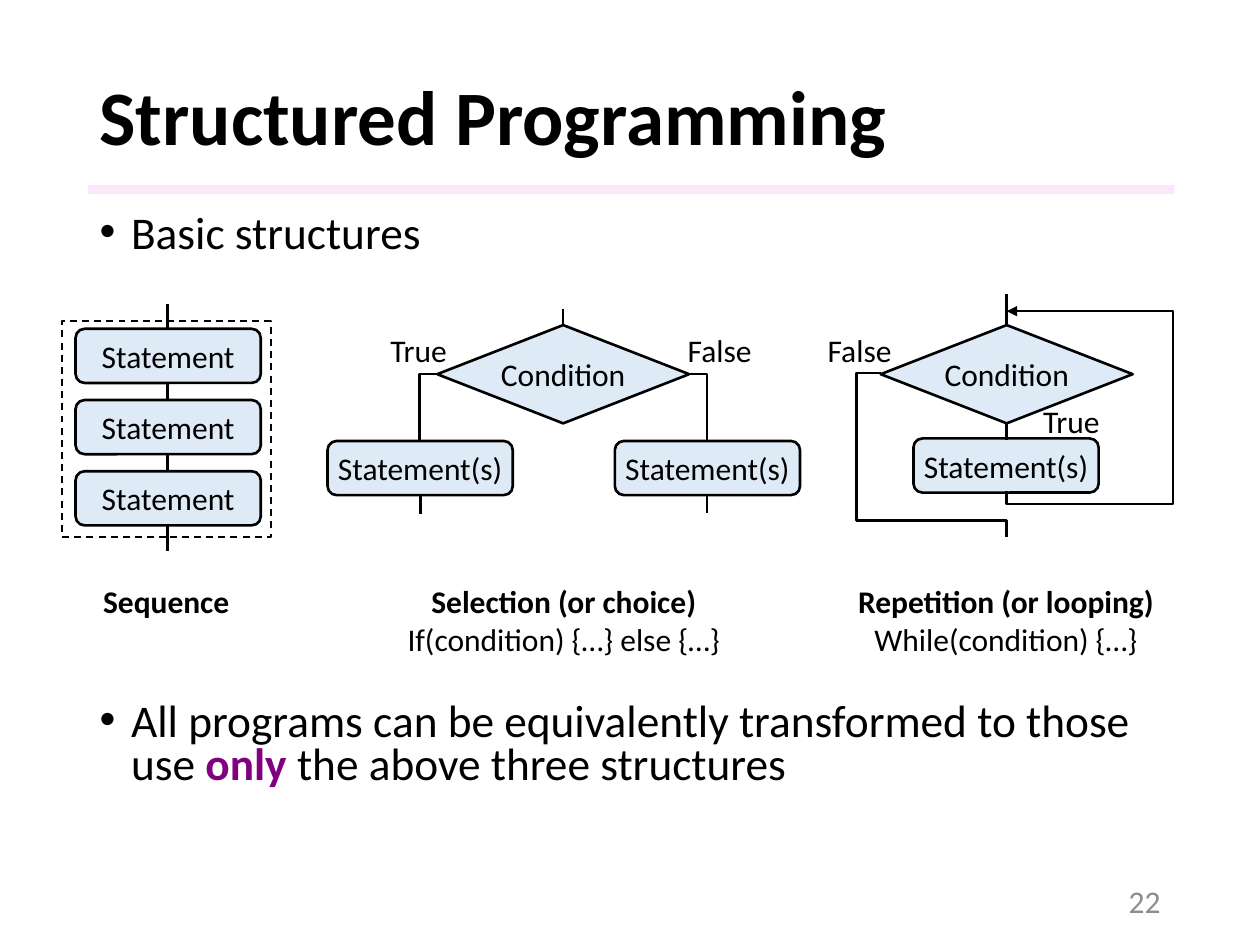
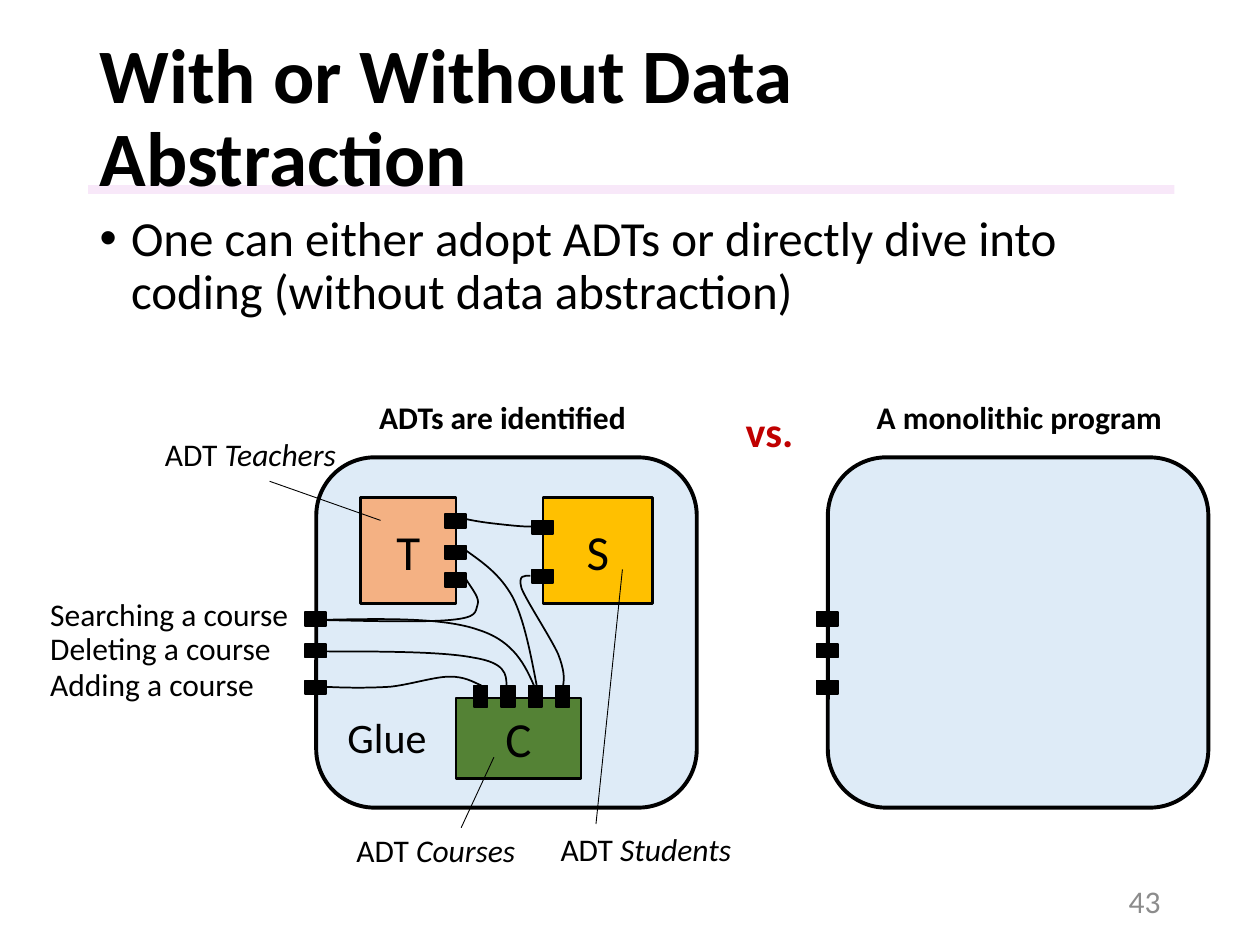
from dataclasses import dataclass
from pptx import Presentation
from pptx.dml.color import RGBColor
from pptx.enum.dml import MSO_LINE as Dash
from pptx.enum.shapes import MSO_CONNECTOR as Link, MSO_SHAPE as Kind
from pptx.enum.text import MSO_ANCHOR as Anchor, MSO_AUTO_SIZE as Fit, PP_ALIGN as Align
from pptx.oxml.ns import qn
from pptx.util import Inches, Pt
from lxml.etree import SubElement

FONT = "Calibri"
HEX = {
    "ink": "000000", "band": "F3D2F4", "page": "8C8C8C", "pale": "DEEBF7",
    "stress": "800080", "red": "C00000", "peach": "F4B183", "gold": "FFC000",
    "green": "548235", "white": "FFFFFF",
}


@dataclass
class Box:
    x: float
    y: float
    w: float
    h: float
    fill: str | None = "pale"
    text: str = ""
    kind: Kind = Kind.RECTANGLE
    line: float = 1.5
    size: float = 18
    turn: float = 0
    dash: bool = False


@dataclass
class Label:
    x: float
    y: float
    w: float
    text: str
    h: float = 0.4
    size: float = 18
    color: str = "ink"
    bold: bool = False
    align: Align = Align.LEFT
    tail: str = ""


@dataclass
class Wire:
    points: list[tuple[float, float]]
    curved: bool = False
    arrow: bool = False
    width: float = 1.5
    fill: str | None = None


def tint(name: str) -> RGBColor:
    return RGBColor.from_string(HEX[name])


def style(run, size: float, color: str = "ink", bold: bool = False) -> None:
    run.font.name, run.font.size, run.font.bold = FONT, Pt(size), bold
    run.font.color.rgb = tint(color)


def place(shape, x: float, y: float, w: float, h: float) -> None:
    shape.left, shape.top, shape.width, shape.height = map(Inches, (x, y, w, h))


def paint(shape, fill: str | None) -> None:
    if fill:
        shape.fill.solid()
        shape.fill.fore_color.rgb = tint(fill)
    else:
        shape.fill.background()


def draw_box(host, box: Box):
    shape = host.shapes.add_shape(box.kind, *map(Inches, (box.x, box.y, box.w, box.h)))
    shape.shadow.inherit = False
    shape.rotation = box.turn
    paint(shape, box.fill)
    if box.line:
        shape.line.color.rgb = tint("ink")
        shape.line.width = Pt(box.line)
        if box.dash:
            shape.line.dash_style = Dash.DASH
    else:
        shape.line.fill.background()
    if box.text:
        frame = shape.text_frame
        frame.margin_left = frame.margin_right = 0
        frame.vertical_anchor = Anchor.MIDDLE
        frame.text = box.text
        frame.paragraphs[0].alignment = Align.CENTER
        style(frame.paragraphs[0].runs[0], box.size)
    return shape


def draw_label(host, label: Label) -> None:
    shape = host.shapes.add_textbox(*map(Inches, (label.x, label.y, label.w, label.h)))
    frame = shape.text_frame
    frame.word_wrap = False
    frame.auto_size = Fit.SHAPE_TO_FIT_TEXT
    frame.text = label.text
    for row, par in enumerate(frame.paragraphs):
        par.alignment = label.align
        style(par.runs[0], label.size, label.color, label.bold and row == 0)
    if label.tail:
        run = frame.paragraphs[0].add_run()
        run.text = label.tail
        style(run, label.size, label.color)
        run.font.italic = True


def bend(shape) -> None:
    """Turn each three straight segments into one cubic curve."""
    legs = shape.element.spPr.findall(".//" + qn("a:lnTo"))
    for i in range(0, len(legs), 3):
        curve = SubElement(legs[i].getparent(), qn("a:cubicBezTo"))
        for leg in legs[i:i + 3]:
            curve.append(leg[0])
            leg.getparent().remove(leg)


def draw_wire(host, wire: Wire) -> None:
    spots = [(Inches(x), Inches(y)) for x, y in wire.points]
    if len(spots) == 2:
        shape = host.shapes.add_connector(Link.STRAIGHT, *spots[0], *spots[1])
    else:
        pen = host.shapes.build_freeform(*spots[0])
        pen.add_line_segments(spots[1:], close=False)
        shape = pen.convert_to_shape()
        paint(shape, wire.fill)
    if wire.curved:
        bend(shape)
    shape.line.color.rgb = tint("ink")
    shape.line.width = Pt(wire.width)
    if wire.arrow:
        SubElement(shape.line._get_or_add_ln(), qn("a:tailEnd"), type="triangle")
    SubElement(shape.element.spPr, qn("a:effectLst"))


def draw(host, *parts) -> None:
    tools = {Box: draw_box, Label: draw_label, Wire: draw_wire}
    for part in parts:
        tools[type(part)](host, part)


def add_slide(deck, title: str, page: str, points: list[str],
              size: float, pitch: float, gap: float = 0):
    """Make a slide with the shared band, title, list and page number."""
    slide = deck.slides.add_slide(deck.slide_layouts[1])
    band = draw_box(slide, Box(0.7, 1.47, 8.62, 0.07, "band", line=0))
    SubElement(band.element.spPr.find(".//" + qn("a:srgbClr")), qn("a:alpha"), val="50000")
    slide.shapes.element.insert(2, band.element)

    head, body = slide.placeholders
    place(head, 0.69, 0.4, 8.62, 1.11)
    place(body, 0.69, 1.65, 8.62, 5.1)
    head.text_frame.text = title
    head.text_frame.vertical_anchor = Anchor.MIDDLE
    par = head.text_frame.paragraphs[0]
    par.alignment, par.line_spacing = Align.LEFT, 0.9
    style(par.runs[0], 44, bold=True)

    body.text_frame.text = "\n".join(points)
    for shape in (head, body):
        shape.text_frame.auto_size = Fit.NONE
    for row, par in enumerate(body.text_frame.paragraphs):
        props = par._p.get_or_add_pPr()
        props.set("marL", str(Inches(0.25)))
        props.set("indent", str(Inches(-0.25)))
        SubElement(props, qn("a:buFont"), typeface="Arial")
        SubElement(props, qn("a:buChar"), char="•")
        par.line_spacing, par.space_before = pitch, Pt(gap if row else 0)
        style(par.runs[0], size)

    foot = slide.shapes.add_textbox(*map(Inches, (7.06, 6.95, 2.25, 0.4))).text_frame
    foot.word_wrap, foot.vertical_anchor = True, Anchor.MIDDLE
    foot.text = page
    foot.paragraphs[0].alignment = Align.RIGHT
    style(foot.paragraphs[0].runs[0], 18, "page")
    return slide, body


def step(x: float, y: float, text: str = "Statement(s)") -> Box:
    return Box(x, y, 1.47, 0.43, text=text, kind=Kind.ROUNDED_RECTANGLE)


def test(x: float) -> Box:
    return Box(x, 2.58, 2, 0.78, text="Condition", kind=Kind.FLOWCHART_DECISION)


def drop(x: float, top: float, end: float) -> Wire:
    return Wire([(x, top), (x, end)])


def build_flow(deck) -> None:
    slide, body = add_slide(
        deck, "Structured Programming", "22",
        ["Basic structures", "All programs can be equivalently transformed to those use "],
        25.9, 0.8, 254)
    last = body.text_frame.paragraphs[1]
    for text, color, bold in (("only", "stress", True),
                              (" the above three structures", "ink", False)):
        run = last.add_run()
        run.text = text
        style(run, 25.9, color, bold)

    # Selection
    draw(slide, test(3.47), step(4.88, 3.5),
         Wire([(5.47, 2.97), (5.61, 2.97), (5.61, 3.5)], fill="white"),
         drop(4.47, 2.45, 2.58),
         Wire([(3.47, 2.97), (3.33, 2.97), (3.33, 3.5)], fill="white"),
         step(2.6, 3.5), drop(3.34, 3.94, 4.08), drop(5.61, 3.93, 4.07))

    # Repetition
    draw(slide, test(6.99), drop(7.99, 2.33, 2.58), step(7.25, 3.48), drop(7.99, 3.35, 3.49),
         Wire([(6.99, 2.96), (6.8, 2.96), (6.8, 4.13), (7.99, 4.13), (7.99, 4.26)]),
         Wire([(7.99, 3.9), (7.99, 4), (9.31, 4), (9.31, 2.47), (7.99, 2.47)], arrow=True))

    # Sequence
    chain = slide.shapes.add_group_shape()
    draw(chain, *(step(0.6, 2.61 + 0.565 * i, "Statement") for i in range(3)))
    for top, end in ((3.04, 3.18), (3.6, 3.74), (4.17, 4.37), (2.41, 2.61)):
        draw(chain, drop(1.33, top, end))
    draw(chain, Box(0.49, 2.55, 1.66, 1.71, None, line=1, dash=True))

    # Captions and branch names
    draw(slide, Label(0.72, 4.57, 1.2, "Sequence", bold=True))
    for x, w, text in ((3.07, 2.81, "Selection (or choice)\nIf(condition) {…} else {…}"),
                       (6.7, 2.57, "Repetition (or looping)\nWhile(condition) {…}")):
        draw(slide, Label(x, 4.57, w, text, 0.71, bold=True, align=Align.CENTER))
    draw(slide, Label(3, 2.58, 0.66, "True"), Label(5.36, 2.58, 0.71, "False"),
         Label(6.47, 2.58, 0.71, "False"), Label(8.18, 3.14, 0.66, "True"))


def port(x: float, y: float, turn: float = 0) -> Box:
    return Box(x, y, 0.17, 0.11, "ink", line=1, turn=turn)


def shell(x: float) -> Box:
    return Box(x, 3.63, 3.02, 2.78, kind=Kind.ROUNDED_RECTANGLE, line=2.25)


def build_adts(deck) -> None:
    slide, _ = add_slide(
        deck, "With or Without Data Abstraction", "43",
        ["One can either adopt ADTs or directly dive into coding (without data abstraction)"],
        28, 0.9)
    rows = (4.86, 5.11, 5.4)

    # Single program
    draw(slide.shapes.add_group_shape(), shell(6.57),
         Label(6.86, 3.11, 2.48, "A monolithic program", bold=True),
         *(port(6.48, y) for y in rows))
    draw(slide, Label(5.82, 3.17, 0.58, "vs.", 0.5, 24, "red", True))

    # Program made of three types
    parts = slide.shapes.add_group_shape()
    draw(parts, shell(2.51),
         Box(2.86, 3.95, 0.76, 0.84, "peach", "T", size=28),
         Box(4.31, 3.95, 0.87, 0.84, "gold", "S", size=28),
         Box(3.62, 5.54, 0.99, 0.64, "green", "C", size=28),
         *(port(3.53, y) for y in (4.08, 4.33, 4.55)),
         *(port(4.22, y) for y in (4.13, 4.52)),
         *(port(3.73 + 0.217 * i, 5.47, 90) for i in range(4)),
         *(port(2.42, y) for y in rows),
         Label(2.66, 5.6, 0.84, "Glue", 0.5, 24),
         Label(2.91, 3.11, 2.18, "ADTs are identified", bold=True))

    # Calls between the ports
    calls = (
        [(3.7, 4.12), (3.79, 4.14), (3.87, 4.15), (3.96, 4.16),
         (4.05, 4.17), (4.14, 4.18), (4.22, 4.18)],
        [(3.7, 4.37), (3.84, 4.47), (3.97, 4.56), (4.07, 4.74),
         (4.16, 4.92), (4.21, 5.18), (4.26, 5.44)],
        [(4.21, 4.57), (4.16, 4.57), (4.11, 4.56), (4.14, 4.67), (4.18, 4.77),
         (4.37, 5.06), (4.43, 5.19), (4.48, 5.32), (4.48, 5.38), (4.47, 5.44)],
        [(3.7, 4.6), (3.75, 4.68), (3.81, 4.75), (3.79, 4.8), (3.77, 4.86),
         (3.79, 4.9), (3.58, 4.92), (3.37, 4.94), (2.94, 4.93), (2.52, 4.92)],
        [(4.02, 5.44), (4.02, 5.35), (4.01, 5.26), (3.76, 5.22),
         (3.51, 5.17), (3.01, 5.17), (2.51, 5.17)],
        [(2.56, 4.92), (3.04, 4.91), (3.52, 4.9), (3.8, 5),
         (4.08, 5.09), (4.17, 5.28), (4.25, 5.47)],
        [(3.82, 5.44), (3.75, 5.41), (3.69, 5.37), (3.57, 5.37), (3.45, 5.37),
         (3.27, 5.43), (3.1, 5.45), (2.94, 5.46), (2.75, 5.46), (2.57, 5.45)],
    )
    draw(parts, *(Wire(points, curved=True, width=1) for points in calls))

    # Names and their leader lines
    draw(parts, Label(0.3, 5.23, 1.84, "Adding a course"),
         Label(0.3, 4.94, 1.98, "Deleting a course"),
         Label(0.3, 4.67, 2.11, "Searching a course"))
    for x, y, w, name, start, end in (
            (1.21, 3.4, 1.58, "Teachers", (3.02, 4.13), (2.14, 3.82)),
            (2.73, 6.55, 1.49, "Courses", (3.66, 6.57), (3.92, 6.01)),
            (4.35, 6.54, 1.59, "Students", (4.73, 6.54), (4.94, 4.52))):
        draw(parts, Label(x, y, w, "ADT ", tail=name), Wire([start, end], width=0.5))


def main() -> None:
    deck = Presentation()
    deck.slide_width, deck.slide_height = Inches(10), Inches(7.5)
    build_flow(deck)
    build_adts(deck)
    deck.save("out.pptx")


if __name__ == "__main__":
    main()
